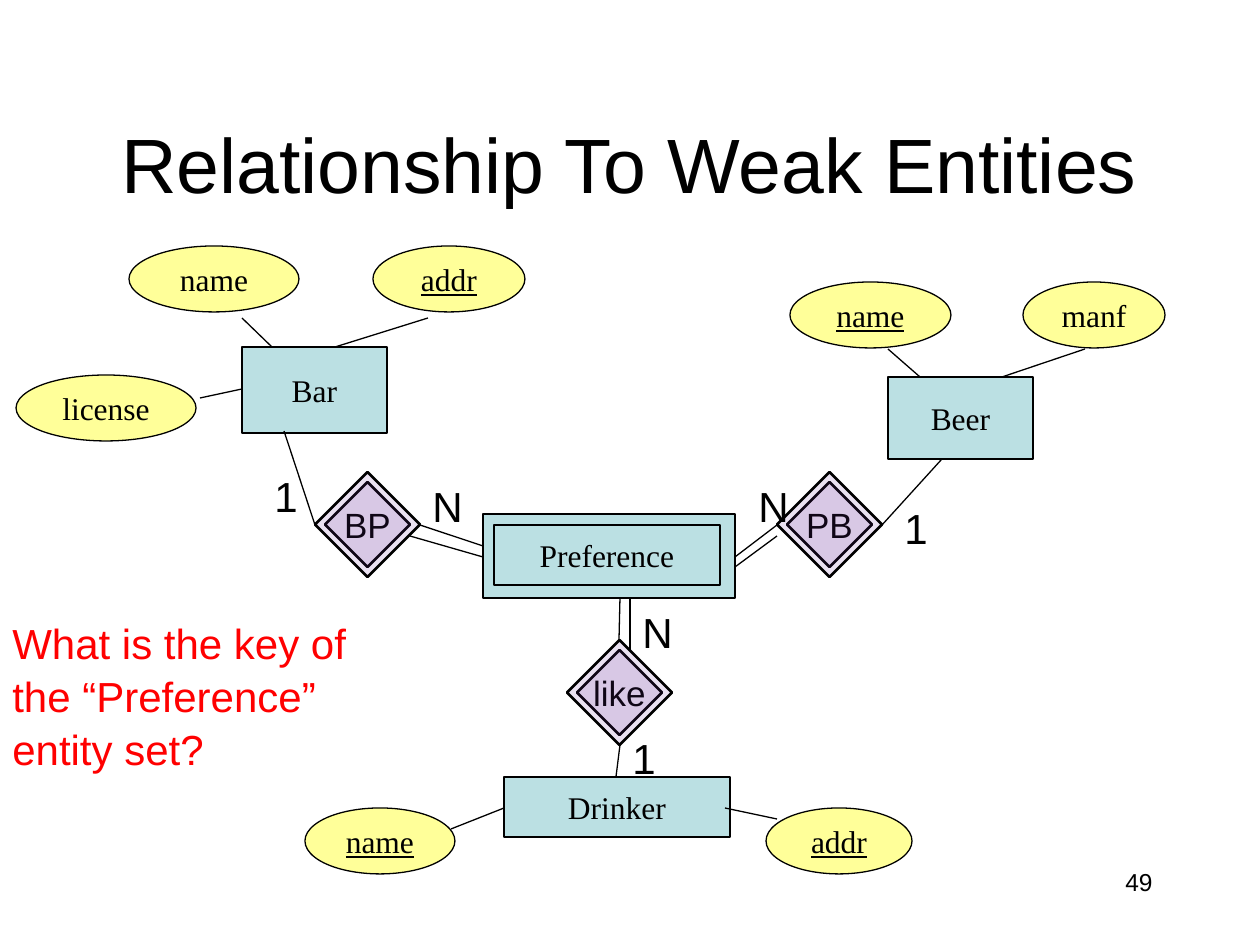
"""Build an entity-relationship slide on weak entities."""
from dataclasses import dataclass

from lxml.etree import SubElement
from pptx import Presentation
from pptx.dml.color import RGBColor
from pptx.enum.shapes import MSO_CONNECTOR as Connector, MSO_SHAPE as Shape
from pptx.enum.text import MSO_ANCHOR as Anchor, PP_ALIGN as Align
from pptx.oxml.ns import qn
from pptx.util import Emu, Pt

SCALE = 914400 / 126


@dataclass(frozen=True)
class Theme:
    ink: str = "000000"
    question: str = "FF0000"
    entity: str = "BBE0E3"
    attribute: str = "FFFF99"
    relationship: str = "7030A0"
    relationship_alpha: int = 14
    sans: str = "Arial"
    serif: str = "Times New Roman"
    title_size: int = 44
    label_size: int = 24
    relationship_size: int = 20
    node_size: int = 18
    number_size: int = 14
    thin: float = 0.75
    thick: float = 1.5


THEME = Theme()

TITLE = ("Relationship To Weak Entities", (94, 84, 1071, 158))
NUMBER = ("49", (903, 861, 262, 63))
QUESTION = ("What is the key of the “Preference” entity set?", (0, 609, 378, 164))
ENTITIES = [
    ("Bar", (242, 347, 145, 86)),
    ("Beer", (888, 377, 145, 82)),
    ("Drinker", (504, 777, 226, 60)),
    ("", (483, 514, 252, 84)),
    ("Preference", (494, 525, 226, 60)),
]
ATTRIBUTE_HEIGHT = 66
ATTRIBUTES = [
    ("name", 129, 246, 170, False),
    ("name", 790, 282, 161, True),
    ("addr", 373, 246, 152, True),
    ("manf", 1023, 282, 142, False),
    ("name", 305, 808, 150, True),
    ("addr", 766, 808, 146, True),
    ("license", 16, 375, 180, False),
]
DIAMOND, DIAMOND_INSET = 105, 10
RELATIONSHIPS = [("like", 567, 640), ("BP", 315, 472), ("PB", 777, 472)]
LINKS = [
    (200, 398, 242, 389),
    (242, 318, 272, 347),
    (428, 318, 335, 347),
    (451, 829, 504, 808),
    (777, 819, 725, 808),
    (888, 349, 920, 377),
    (1085, 349, 1002, 377),
    (483, 546, 420, 525),
    (483, 557, 410, 536),
    (882, 525, 942, 459),
    (620, 745, 616, 777),
    (619, 640, 620, 598),
    (630, 651, 630, 598),
    (315, 525, 284, 431),
    (777, 525, 735, 557),
    (777, 536, 735, 567),
]
CARDINALITY_SIZE = (32, 63)
CARDINALITIES = [
    ("N", 420, 472), ("N", 746, 472), ("N", 630, 598),
    ("1", 262, 462), ("1", 620, 724), ("1", 892, 494),
]


def px(*lengths):
    return [Emu(round(length * SCALE)) for length in lengths]


def write(shape, text, *, size, font=THEME.sans, color=THEME.ink, align=Align.CENTER,
          anchor=Anchor.MIDDLE, underline=None, wrap=False, spacing=None):
    frame = shape.text_frame
    frame.word_wrap = wrap
    frame.vertical_anchor = anchor
    paragraph = frame.paragraphs[0]
    paragraph.alignment = align
    paragraph.line_spacing = spacing
    run = paragraph.add_run()
    run.text = text
    run.font.size = Pt(size)
    run.font.name = font
    run.font.underline = underline
    run.font.color.rgb = RGBColor.from_string(color)


def add_node(slide, kind, box, fill, width=THEME.thin, alpha=None):
    shape = slide.shapes.add_shape(kind, *px(*box))
    shape.shadow.inherit = False
    shape.fill.solid()
    shape.fill.fore_color.rgb = RGBColor.from_string(fill)
    shape.line.color.rgb = RGBColor.from_string(THEME.ink)
    shape.line.width = Pt(width)
    if alpha:
        color = shape.fill._xPr.find(qn("a:solidFill"))[0]
        SubElement(color, qn("a:alpha"), val=str(alpha * 1000))
    return shape


def add_relationship(slide, name, left, top):
    for inset, text in ((DIAMOND_INSET, name), (0, "")):
        side = DIAMOND - 2 * inset
        shape = add_node(slide, Shape.DIAMOND, (left + inset, top + inset, side, side),
                         THEME.relationship, THEME.thick, THEME.relationship_alpha)
        if text:
            write(shape, text, size=THEME.relationship_size)


def add_link(slide, ends):
    link = slide.shapes.add_connector(Connector.STRAIGHT, *px(*ends))
    link.line.color.rgb = RGBColor.from_string(THEME.ink)
    link.line.width = Pt(THEME.thin)
    SubElement(link._element.spPr, qn("a:effectLst"))


def add_label(slide, text, box, **style):
    label = slide.shapes.add_textbox(*px(*box))
    write(label, text, anchor=Anchor.TOP, wrap=True, **style)


def main():
    presentation = Presentation()
    presentation.slide_width, presentation.slide_height = px(1260, 945)
    slide = presentation.slides.add_slide(presentation.slide_layouts[5])

    text, box = TITLE
    title = slide.shapes.title
    title.left, title.top, title.width, title.height = px(*box)
    write(title, text, size=THEME.title_size, wrap=True)
    add_label(slide, *NUMBER, size=THEME.number_size, align=Align.RIGHT)

    for name, box in ENTITIES:
        entity = add_node(slide, Shape.RECTANGLE, box, THEME.entity)
        if name:
            write(entity, name, size=THEME.node_size, font=THEME.serif)
    for name, left, top, width, is_key in ATTRIBUTES:
        attribute = add_node(slide, Shape.OVAL, (left, top, width, ATTRIBUTE_HEIGHT),
                             THEME.attribute)
        write(attribute, name, size=THEME.node_size, font=THEME.serif, underline=is_key)
    for relationship in RELATIONSHIPS:
        add_relationship(slide, *relationship)
    for ends in LINKS:
        add_link(slide, ends)

    label_style = dict(size=THEME.label_size, align=Align.LEFT, spacing=1.05)
    for text, left, top in CARDINALITIES:
        add_label(slide, text, (left, top, *CARDINALITY_SIZE), **label_style)
    add_label(slide, *QUESTION, color=THEME.question, **label_style)

    presentation.save("out.pptx")


if __name__ == "__main__":
    main()
